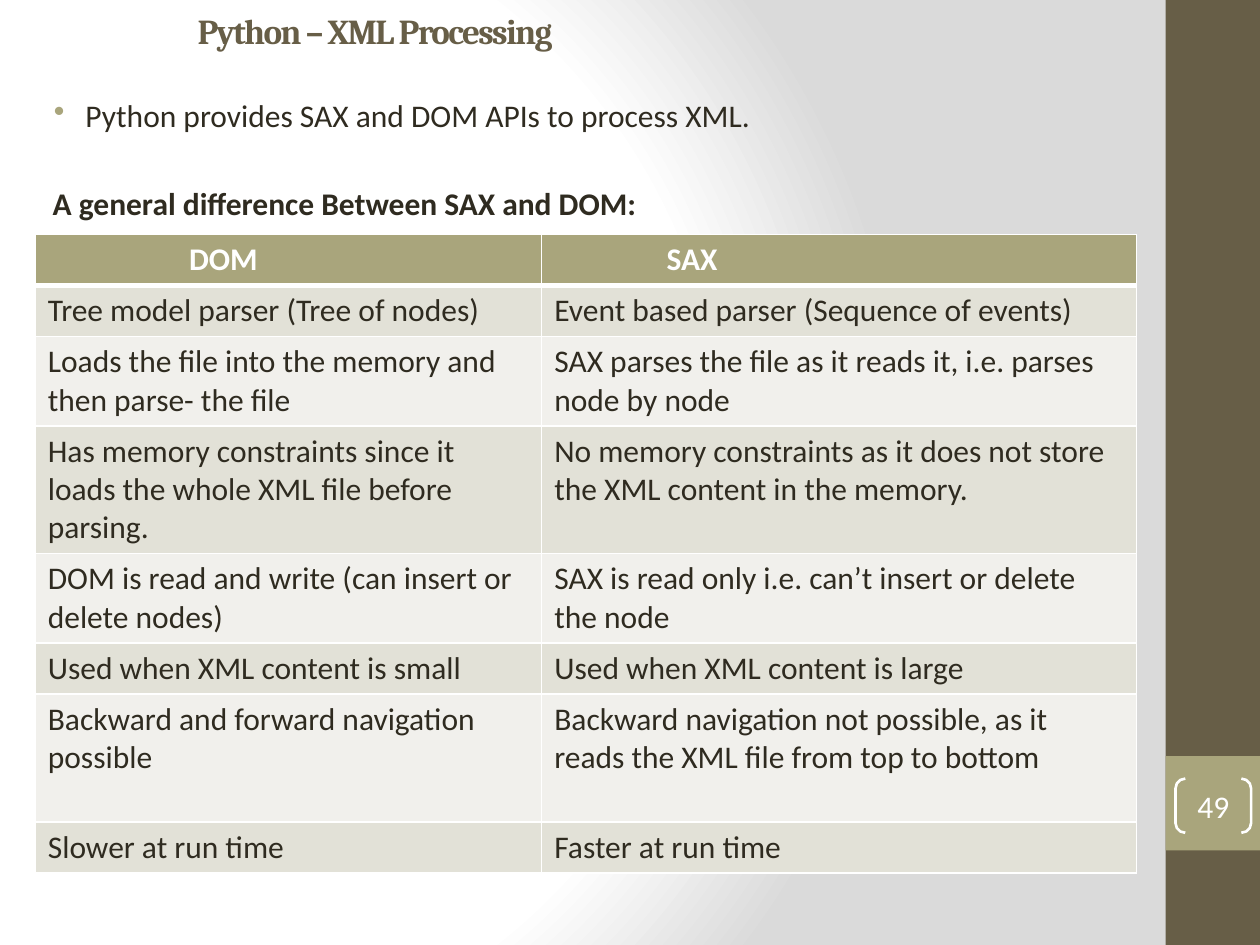
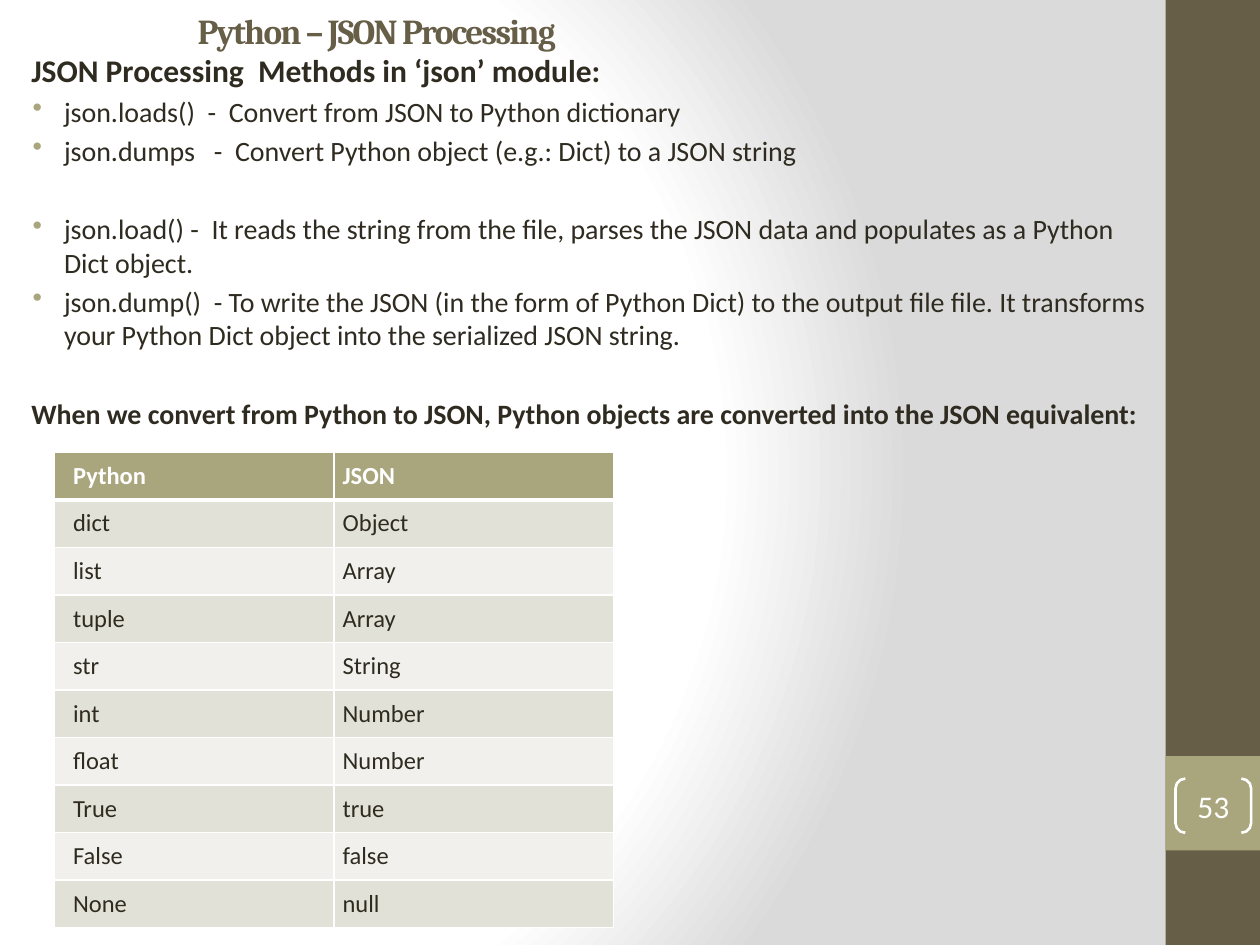
from pptx import Presentation, oxml
from pptx.dml.color import RGBColor
from pptx.enum import shapes, text
from pptx.oxml.ns import nsdecls, qn
from pptx import util as u

WIDE, HIGH = 10, 7.5
HUES = dict(dark="675E47", sage="A9A57C", ink="2F2B20", white="FFFFFF",
            grey="DADADA", odd="E2E1D7", even="F1F0EC")
FONTS = dict(head="Cambria", body="Calibri")
LEADING = 1.22
MIDDLE = text.MSO_ANCHOR.MIDDLE

DOM_SAX = [
    ("DOM", "SAX", 1),
    ("Tree model parser (Tree of nodes)", "Event based parser (Sequence of events)", 1),
    ("Loads the file into the memory and then parse- the file",
     "SAX parses the file as it reads it, i.e. parses node by node", 2),
    ("Has memory constraints since it loads the whole XML file before parsing.",
     "No memory constraints as it does not store the XML content in the memory.", 3),
    ("DOM is read and write (can insert or delete nodes)",
     "SAX is read only i.e. can’t insert or delete the node", 2),
    ("Used when XML content is small", "Used when XML content is large", 1),
    ("Backward and forward navigation possible",
     "Backward navigation not possible, as it reads the XML file from top to bottom", 3),
    ("Slower at run time", "Faster at run time", 1),
]
TYPES = [
    ("Python", "JSON", 1), ("dict", "Object", 1), ("list", "Array", 1),
    ("tuple", "Array", 1), ("str", "String", 1), ("int", "Number", 1),
    ("float", "Number", 1), ("True", "true", 1), ("False", "false", 1),
    ("None", "null", 1),
]
XML_TEXT = [
    dict(words="Python provides SAX and DOM APIs to process XML.", dot=True),
    dict(words="A general difference Between SAX and DOM:", bold=True, gap=28.3),
]
JSON_TEXT = [
    dict(words="JSON Processing  Methods in ‘json’ module:", bold=True, size=18),
    dict(words="json.loads()  -  Convert from JSON to Python dictionary", dot=True),
    dict(words="json.dumps   -  Convert Python object (e.g.: Dict) to a JSON string", dot=True),
    dict(words="json.load() -  It reads the string from the file, parses the JSON data "
         "and populates as a Python Dict object.", dot=True, gap=25.6),
    dict(words="json.dump()  - To write the JSON (in the form of Python Dict) to the output "
         "file file. It transforms your Python Dict object into the serialized JSON string.",
         dot=True),
    dict(words="When we convert from Python to JSON, Python objects are converted "
         "into the JSON equivalent:", bold=True, gap=25.6),
]


def assign(item, **values):
    for name, value in values.items():
        setattr(item, name, value)


def hue(name):
    return RGBColor.from_string(HUES[name])


def area(left, top, width, height):
    sides = (left, WIDE), (top, HIGH), (width, WIDE), (height, HIGH)
    return [u.Inches(part * side / 100) for part, side in sides]


def snip(xml):
    return oxml.parse_xml(xml.replace(" ", f" {nsdecls('a')} ", 1))


def write(para, words, size, tint="ink", bold=False, face="body"):
    run = para.add_run()
    run.text = words
    assign(run.font, size=u.Pt(size), bold=bold, name=FONTS[face])
    run.font.color.rgb = hue(tint)
    return run


def indent(para, left, first=0):
    props = para._p.get_or_add_pPr()
    props.set("marL", str(u.Inches(left)))
    props.set("indent", str(u.Inches(first)))
    return props


def backdrop(slide):
    slide.background.fill.solid()
    props = slide.element.find(".//" + qn("p:bgPr"))
    props.remove(props[0])
    stops = "".join(
        f'<a:gs pos="{spot}000"><a:srgbClr val="{HUES[name]}"/></a:gs>'
        for spot, name in ((0, "white"), (75, "white"), (100, "grey")))
    props.insert(0, snip(
        f'<a:gradFill rotWithShape="1"><a:gsLst>{stops}</a:gsLst><a:path path="circle">'
        '<a:fillToRect l="20000" t="50000" r="100000" b="50000"/></a:path></a:gradFill>'))


def band(slide, tint, *place):
    shape = slide.shapes.add_shape(shapes.MSO_SHAPE.RECTANGLE, *area(*place))
    shape.shadow.inherit = False
    shape.fill.solid()
    shape.fill.fore_color.rgb = hue(tint)
    shape.line.fill.background()


def badge(slide, number):
    shape = slide.shapes.add_shape(
        shapes.MSO_SHAPE.DOUBLE_BRACKET, *area(93.3, 82.4, 6, 5.73))
    shape.shadow.inherit = False
    shape.adjustments[0] = 0.18
    shape.fill.background()
    shape.line.color.rgb = hue("white")
    shape.line.width = u.Pt(1.5)
    frame = shape.text_frame
    assign(frame, margin_left=0, margin_right=0, margin_top=0, margin_bottom=0,
           vertical_anchor=MIDDLE)
    frame.paragraphs[0].alignment = text.PP_ALIGN.CENTER
    write(frame.paragraphs[0], str(number), 18, "white")


def title(slide, words):
    frame = slide.shapes.add_textbox(*area(4.3, 1.73, 83.3, 2.93)).text_frame
    assign(frame, word_wrap=True, vertical_anchor=MIDDLE)
    para = frame.paragraphs[0]
    indent(para, 1.04)
    run = write(para, words, 20, "dark", True, "head")
    run.font._element.set("spc", "-100")


def body(slide, place, items, size):
    frame = slide.shapes.add_textbox(*area(*place)).text_frame
    frame.word_wrap = True
    for spot, item in enumerate(items):
        para = frame.add_paragraph() if spot else frame.paragraphs[0]
        para.space_before = u.Pt(item.get("gap", 3) if spot else 0)
        if item.get("dot"):
            props = indent(para, 0.38, -0.25)
            props.append(snip(f'<a:buClr ><a:srgbClr val="{HUES["sage"]}"/></a:buClr>'))
            props.append(snip('<a:buChar char="•"/>'))
        else:
            indent(para, 0.12)
        write(para, item["words"], item.get("size", size), bold=item.get("bold", False))


def edge(cell, row):
    props = cell._tc.get_or_add_tcPr()
    for spot, side in enumerate("LRTB"):
        thick = (row, side) in ((0, "B"), (1, "T"))
        props.insert(spot, snip(
            f'<a:ln{side} w="{u.Pt(3 if thick else 1)}"><a:solidFill>'
            f'<a:srgbClr val="{HUES["white"]}"/></a:solidFill></a:ln{side}>'))


def grid(slide, left, top, cols, rows, size, pads, heads=(0, 0)):
    first, side, ends = pads
    tall = [2 * ends + lines * size * LEADING / 72 for *_, lines in rows]
    spot = area(left, top, sum(cols) * 100 / WIDE, sum(tall) * 100 / HIGH)
    table = slide.shapes.add_table(len(rows), len(cols), *spot).table
    for col, width in zip(table.columns, cols):
        col.width = u.Inches(width)
    for r, (*words, _) in enumerate(rows):
        table.rows[r].height = u.Inches(tall[r])
        for c, word in enumerate(words):
            cell = table.cell(r, c)
            assign(cell, margin_left=u.Inches(side if c else first),
                   margin_right=u.Inches(side), margin_top=u.Inches(ends),
                   margin_bottom=u.Inches(ends))
            cell.fill.solid()
            cell.fill.fore_color.rgb = hue(("odd" if r % 2 else "even") if r else "sage")
            edge(cell, r)
            para = cell.text_frame.paragraphs[0]
            if not r:
                indent(para, heads[c])
            write(para, word, size, "ink" if r else "white", not r)


def page(deck, words, number, place, items, size):
    slide = deck.slides.add_slide(deck.slide_layouts[6])
    backdrop(slide)
    band(slide, "dark", 92.5, 0, 7.5, 100)
    band(slide, "sage", 92.5, 80, 7.5, 10)
    body(slide, place, items, size)
    title(slide, words)
    badge(slide, number)
    return slide


def main():
    deck = Presentation()
    assign(deck, slide_width=u.Inches(WIDE), slide_height=u.Inches(HIGH))
    slide = page(deck, "Python – XML Processing", 49,
                 (2, 9.53, 90.6, 90.47), XML_TEXT, 18)
    grid(slide, 2.8, 24.8, (4.02, 4.72), DOM_SAX, 18, (0.1, 0.1, 0.05), (1.12, 0.89))
    slide = page(deck, "Python – JSON Processing", 53,
                 (0.3, 4.8, 92.5, 95.2), JSON_TEXT, 16)
    grid(slide, 4.3, 47.87, (2.22, 2.22), TYPES, 14, (0.15, 0.07, 0.07))
    deck.save("out.pptx")


main()
